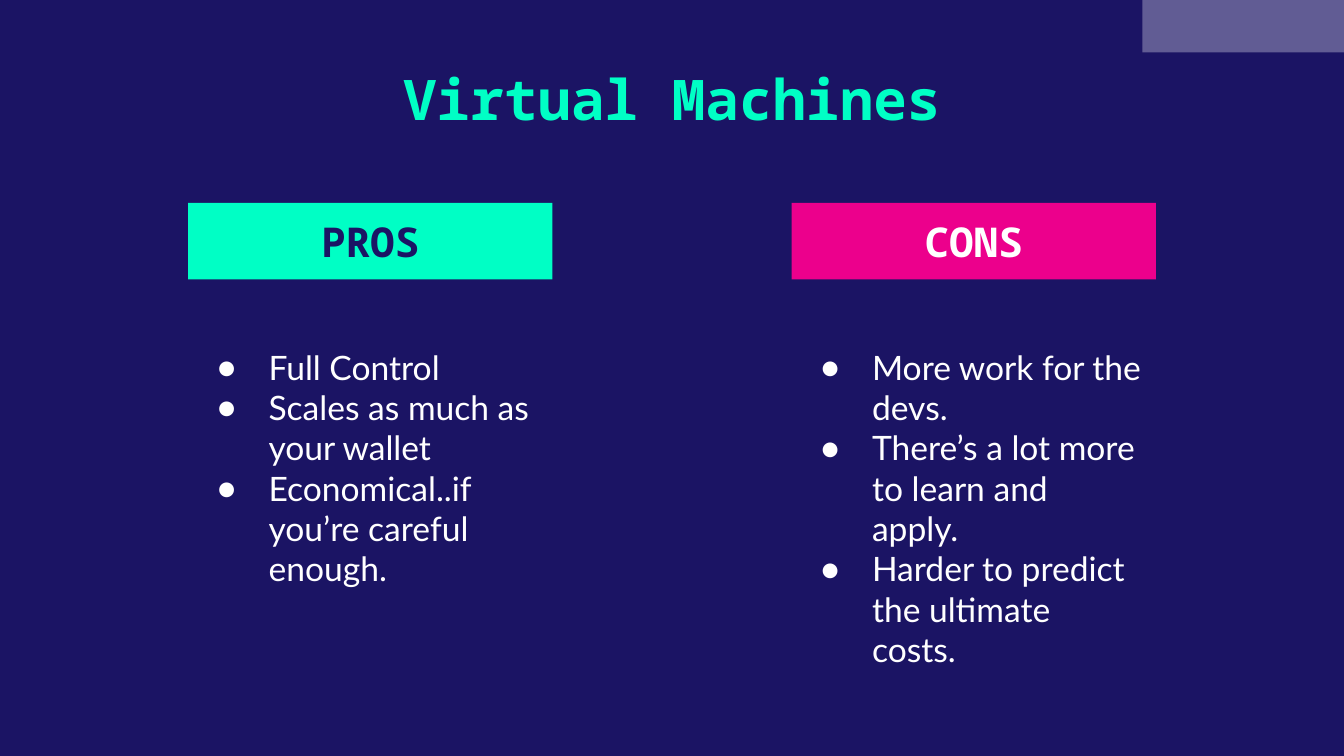
from dataclasses import dataclass

import pptx
import pptx.dml.color
import pptx.enum.shapes
import pptx.enum.text
import pptx.oxml.ns
import pptx.util
from lxml import etree

Inches = pptx.util.Inches
ALIGN = pptx.enum.text.PP_ALIGN
ANCHOR = pptx.enum.text.MSO_ANCHOR
qn = pptx.oxml.ns.qn

NAVY, MINT, PINK, WHITE = "1B1464", "00FFC5", "EC008C", "FFFFFF"
HEADING_FONT, BODY_FONT = "Noto Sans Mono", "Lato"
SLIDE_WIDTH = 10
SLIDE_HEIGHT = SLIDE_WIDTH * 9 / 16
COLUMN_WIDTH = 2.71


@dataclass
class Column:
    left: float
    heading: str
    fill: str
    color: str
    list_height: float
    points: list[str]


COLUMNS = [
    Column(1.4, "PROS", MINT, NAVY, 2.72, [
        "Full Control",
        "Scales as much as your wallet",
        "Economical..if you’re careful enough.",
    ]),
    Column(5.89, "CONS", PINK, WHITE, 2.64, [
        "More work for the devs.",
        "There’s a lot more to learn and apply.",
        "Harder to predict the ultimate costs.",
    ]),
]


def set_fill(fill, color: str) -> None:
    fill.solid()
    fill.fore_color.rgb = pptx.dml.color.RGBColor.from_string(color)


def add_rect(s, left: float, top: float, width: float, height: float, color: str):
    sp = s.shapes.add_shape(
        pptx.enum.shapes.MSO_SHAPE.RECTANGLE,
        Inches(left), Inches(top), Inches(width), Inches(height))
    sp.shadow.inherit = False
    sp.line.fill.background()
    set_fill(sp.fill, color)
    return sp


def add_textbox(s, left: float, top: float, width: float, height: float):
    return s.shapes.add_textbox(Inches(left), Inches(top), Inches(width), Inches(height))


def prepare_frame(sp, anchor):
    """Set wrapping, even margins and anchor, and return the text frame."""
    tf = sp.text_frame
    tf.word_wrap = True
    tf.vertical_anchor = anchor
    tf.margin_left = tf.margin_right = tf.margin_top = tf.margin_bottom = Inches(0.1)
    return tf


def add_run(p, text: str, size: float, font: str, color: str, bold: bool = False) -> None:
    r = p.add_run()
    r.text = text
    r.font.name = font
    r.font.size = pptx.util.Pt(size)
    r.font.bold = bold
    set_fill(r.font.fill, color)


def add_heading(sp, text: str, size: float, color: str, anchor) -> None:
    p = prepare_frame(sp, anchor).paragraphs[0]
    p.alignment = ALIGN.CENTER
    add_run(p, text, size, HEADING_FONT, color, bold=True)


def set_bullet(p, color: str) -> None:
    pPr = p._p.get_or_add_pPr()
    pPr.set("marL", str(Inches(0.5)))
    pPr.set("indent", str(Inches(-0.38)))
    buClr = etree.SubElement(pPr, qn("a:buClr"))
    etree.SubElement(buClr, qn("a:srgbClr")).set("val", color)
    etree.SubElement(pPr, qn("a:buSzPct")).set("val", "90000")
    etree.SubElement(pPr, qn("a:buFont")).set("typeface", BODY_FONT)
    etree.SubElement(pPr, qn("a:buChar")).set("char", "●")


def add_column(s, column: Column) -> None:
    box = add_textbox(s, column.left, 2.48, COLUMN_WIDTH, column.list_height)
    tf = prepare_frame(box, ANCHOR.TOP)
    for i, point in enumerate(column.points):
        p = tf.add_paragraph() if i else tf.paragraphs[0]
        p.alignment = ALIGN.LEFT
        set_bullet(p, WHITE)
        add_run(p, point, 18, BODY_FONT, WHITE)
    banner = add_rect(s, column.left, 1.51, COLUMN_WIDTH, 0.57, column.fill)
    add_heading(banner, column.heading, 22, column.color, ANCHOR.BOTTOM)


def main() -> None:
    prs = pptx.Presentation()
    prs.slide_width, prs.slide_height = Inches(SLIDE_WIDTH), Inches(SLIDE_HEIGHT)
    s = prs.slides.add_slide(prs.slide_layouts[6])
    set_fill(s.background.fill, NAVY)

    corner = add_rect(s, 8.5, 0, 1.5, 0.39, WHITE)
    rgb = corner._element.spPr.find(qn("a:solidFill")).find(qn("a:srgbClr"))
    etree.SubElement(rgb, qn("a:alpha")).set("val", "31000")

    title = add_textbox(s, 1.4, 0.38, 7.2, 0.73)
    add_heading(title, "Virtual Machines", 30, MINT, ANCHOR.TOP)
    for column in COLUMNS:
        add_column(s, column)
    prs.save("out.pptx")


if __name__ == "__main__":
    main()
